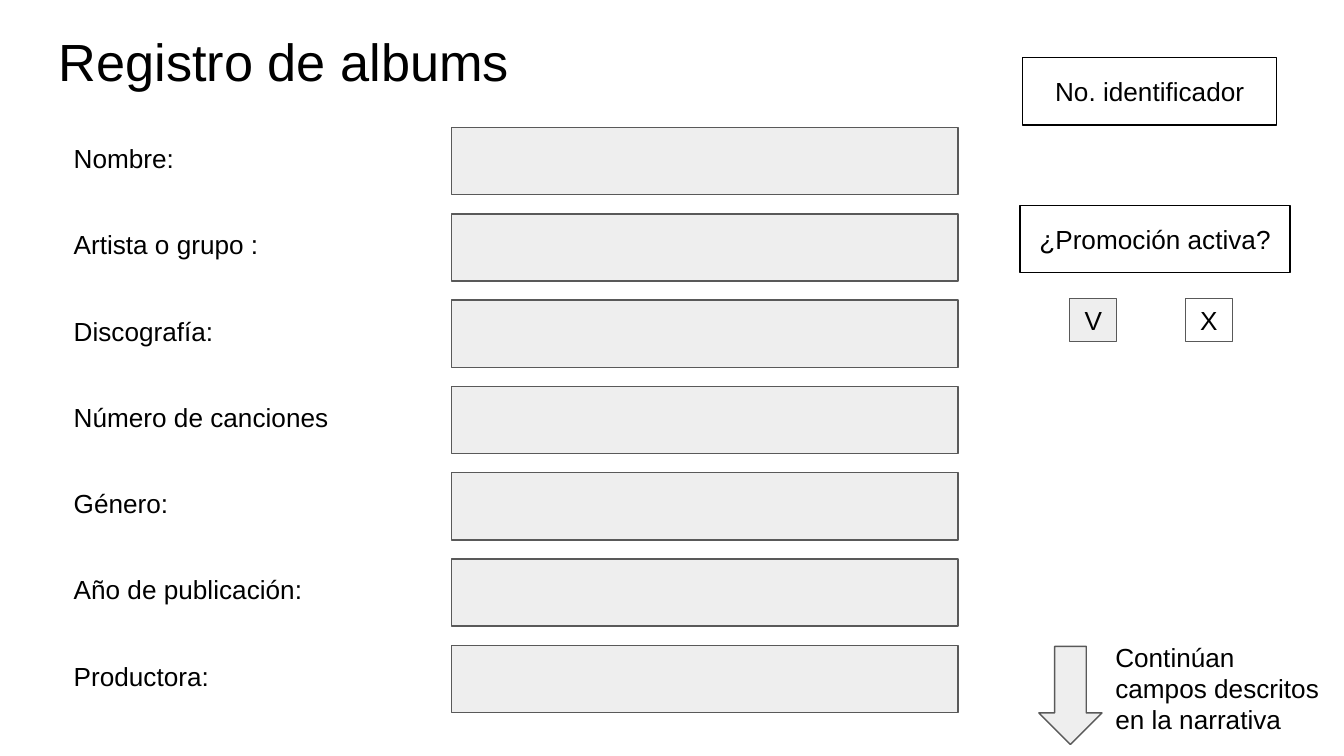
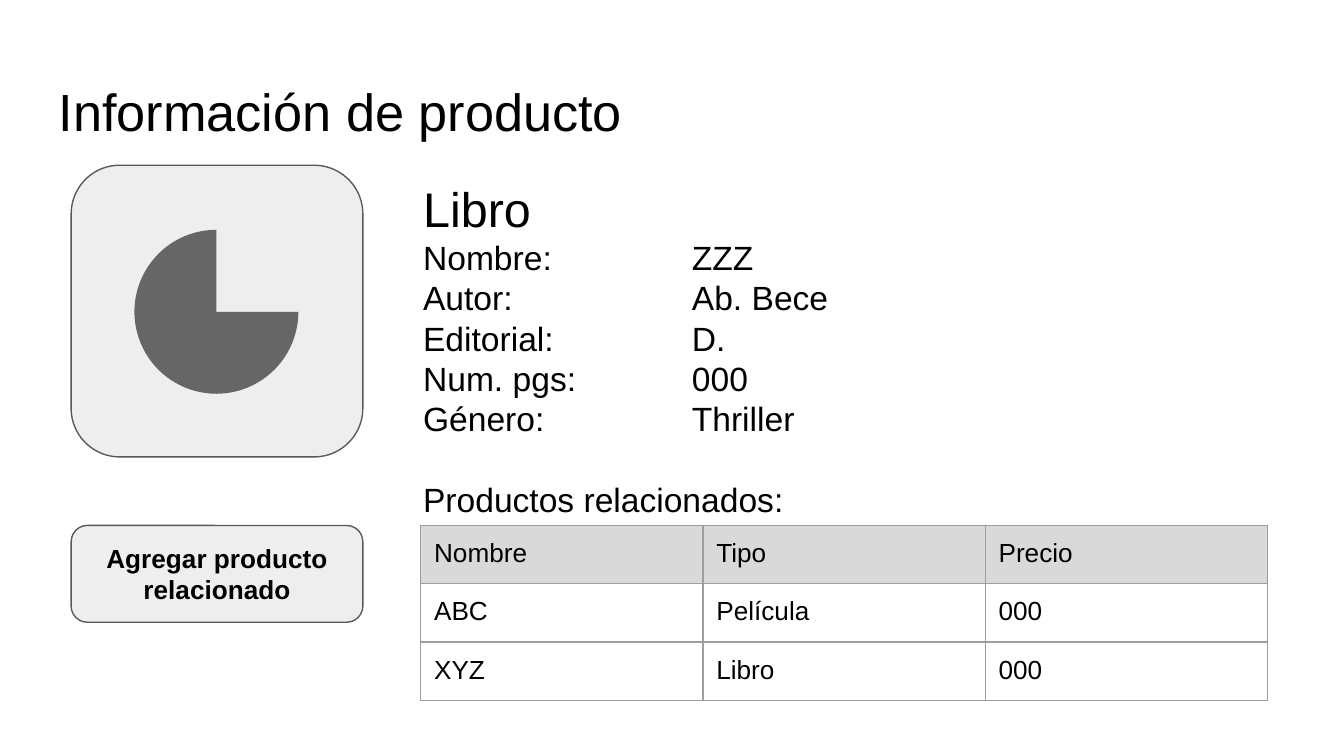
from typing import NamedTuple, Optional

from lxml.etree import SubElement
from pptx import Presentation
from pptx.dml.color import RGBColor
from pptx.enum.shapes import MSO_SHAPE
from pptx.enum.text import MSO_ANCHOR, PP_ALIGN
from pptx.oxml.ns import qn
from pptx.util import Emu, Inches, Pt

# Page grid: 100 columns wide, 56.25 rows high, square cells
SLIDE_W, SLIDE_H = Inches(10), Inches(5.625)
CELL = SLIDE_W / 100

BLACK, WHITE = "000000", "FFFFFF"
PANEL, OUTLINE, MARK = "EEEEEE", "595959", "666666"
HEADER, BORDER = "D9D9D9", "9E9E9E"

BODY = {"name": "Arial", "size": Pt(14), "bold": False}
BUTTON = BODY | {"bold": True}
TITLE = BODY | {"size": Pt(28)}
DETAIL = BODY | {"size": Pt(18)}
HEADING = BODY | {"size": Pt(26)}
MARGINS = ("margin_left", "margin_top", "margin_right", "margin_bottom")


class Box(NamedTuple):
    """Position and size in grid cells."""
    left: float
    top: float
    width: float
    height: float


class Block(NamedTuple):
    """A preset shape, with its text if it has any."""
    box: Box
    kind: MSO_SHAPE = MSO_SHAPE.RECTANGLE
    text: str = ""
    fill: Optional[str] = PANEL
    line: Optional[str] = OUTLINE
    fmt: dict = BODY


class Line(NamedTuple):
    """A paragraph with its format and the space above it."""
    text: str
    fmt: dict = BODY
    before: float = 0


def color(value: str) -> RGBColor:
    return RGBColor.from_string(value)


def cells(n: float) -> Emu:
    return Emu(round(n * CELL))


def place(box: Box) -> list[Emu]:
    return [cells(n) for n in box]


def paint(fill, value: Optional[str]) -> None:
    if value is None:
        fill.background()
    else:
        fill.solid()
        fill.fore_color.rgb = color(value)


def write(tf, lines: list[Line], align=PP_ALIGN.LEFT) -> None:
    for side in MARGINS:
        setattr(tf, side, cells(1))
    for i, line in enumerate(lines):
        p = tf.add_paragraph() if i else tf.paragraphs[0]
        p.alignment = align
        p.space_before = Pt(line.before)
        r = p.add_run()
        r.text = line.text
        for key, value in line.fmt.items():
            setattr(r.font, key, value)
        r.font.color.rgb = color(BLACK)


def add_text(s, box: Box, *lines: Line):
    tf = s.shapes.add_textbox(*place(box)).text_frame
    tf.word_wrap = True
    tf.vertical_anchor = MSO_ANCHOR.TOP
    write(tf, list(lines))
    return tf


def add_block(s, block: Block) -> None:
    sp = s.shapes.add_shape(block.kind, *place(block.box))
    sp.shadow.inherit = False
    paint(sp.fill, block.fill)
    paint(sp.line.fill, block.line)
    if block.line:
        sp.line.width = Pt(0.75)
    if block.text:
        tf = sp.text_frame
        tf.word_wrap = True
        tf.vertical_anchor = MSO_ANCHOR.MIDDLE
        write(tf, [Line(block.text, block.fmt)], PP_ALIGN.CENTER)


def set_tab(tf, position: float) -> None:
    for p in tf.paragraphs:
        tabs = SubElement(p._p.get_or_add_pPr(), qn("a:tabLst"))
        SubElement(tabs, qn("a:tab"), pos=str(cells(position)), algn="l")


def add_borders(cell) -> None:
    tc_pr = cell._tc.get_or_add_tcPr()
    for side in ("lnL", "lnR", "lnT", "lnB"):
        ln = SubElement(tc_pr, qn(f"a:{side}"), w=str(Pt(0.75)))
        SubElement(SubElement(ln, qn("a:solidFill")), qn("a:srgbClr"), val=BORDER)


def add_grid_table(s, box: Box, rows: list[tuple[str, ...]]) -> None:
    table = s.shapes.add_table(len(rows), len(rows[0]), *place(box)).table
    table.first_row = table.horz_banding = False
    for i, row in enumerate(rows):
        for j, text in enumerate(row):
            cell = table.cell(i, j)
            write(cell.text_frame, [Line(text)])
            for side in MARGINS:
                setattr(cell, side, cells(1))
            add_borders(cell)
            paint(cell.fill, None if i else HEADER)


def new_slide(prs, title: str, top: float):
    s = prs.slides.add_slide(prs.slide_layouts[6])
    paint(s.background.fill, WHITE)
    add_text(s, Box(3.4, top, 93.2, 6.3), Line(title, TITLE))
    return s


def build_album_form(prs) -> None:
    s = new_slide(prs, "Registro de albums", 1.2)

    # Labelled fields at an equal pitch
    labels = ("Nombre:", "Artista o grupo :", "Discografía:", "Número de canciones",
              "Género:", "Año de publicación:", "Productora:")
    first, pitch = 9.5, 6.42
    for i, label in enumerate(labels):
        top = first + i * pitch
        add_block(s, Block(Box(33.6, top, 37.7, 5)))
        add_text(s, Box(4.5, top + 0.1, 23.3, 5), Line(label))

    # Note that the form goes on
    add_block(s, Block(Box(77.3, 48.1, 4.7, 7.3), MSO_SHAPE.DOWN_ARROW))
    add_text(s, Box(82, 46.7, 18, 9.1),
             Line("Continúan campos descritos en la narrativa"))

    # Identifier, promotion and its two choices
    rect = MSO_SHAPE.RECTANGLE
    for block in (
        Block(Box(76.1, 4.3, 18.9, 5), rect, "No. identificador", None, BLACK),
        Block(Box(75.9, 15.3, 20.1, 5), rect, "¿Promoción activa?", None, BLACK),
        Block(Box(79.6, 22.2, 3.5, 3.2), rect, "V"),
        Block(Box(88.2, 22.2, 3.5, 3.2), rect, "X", WHITE),
    ):
        add_block(s, block)


def build_product_info(prs) -> None:
    s = new_slide(prs, "Información de producto", 4.9)

    # Picture frame with its pie mark, and the button
    rounded = MSO_SHAPE.ROUNDED_RECTANGLE
    for block in (
        Block(Box(5.3, 12.3, 21.7, 21.7), rounded),
        Block(Box(10, 17.1, 12.2, 12.2), MSO_SHAPE.PIE, fill=MARK, line=None),
        Block(Box(5.3, 39.1, 21.7, 7.2), rounded,
              "Agregar producto relacionado", fmt=BUTTON),
    ):
        add_block(s, block)

    # Product details, values on one tab stop
    details = (("Nombre:", "ZZZ"), ("Autor:", "Ab. Bece"), ("Editorial:", "D."),
               ("Num. pgs:", "000"), ("Género:", "Thriller"))
    tf = add_text(s, Box(30.5, 12.3, 41.3, 20.1),
                  Line("Libro", HEADING),
                  *(Line("\t".join(pair), DETAIL) for pair in details),
                  Line("Productos relacionados:", DETAIL, before=21.6))
    set_tab(tf, 20)

    # Related products
    add_grid_table(s, Box(31.3, 39.1, 63, 12.6), [
        ("Nombre", "Tipo", "Precio"),
        ("ABC", "Película", "000"),
        ("XYZ", "Libro", "000"),
    ])


def main() -> None:
    prs = Presentation()
    prs.slide_width, prs.slide_height = SLIDE_W, SLIDE_H
    build_album_form(prs)
    build_product_info(prs)
    prs.save("out.pptx")


if __name__ == "__main__":
    main()
